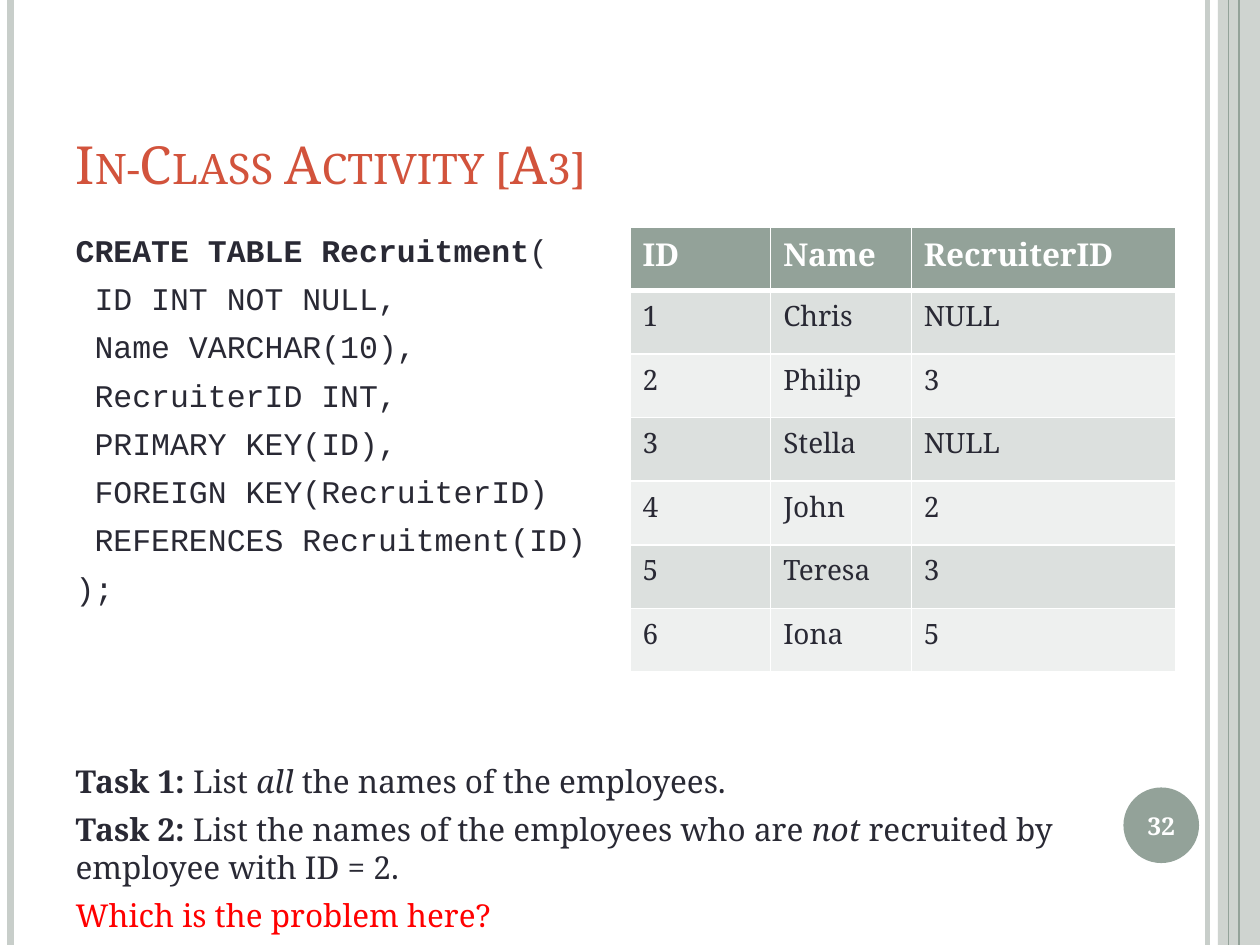
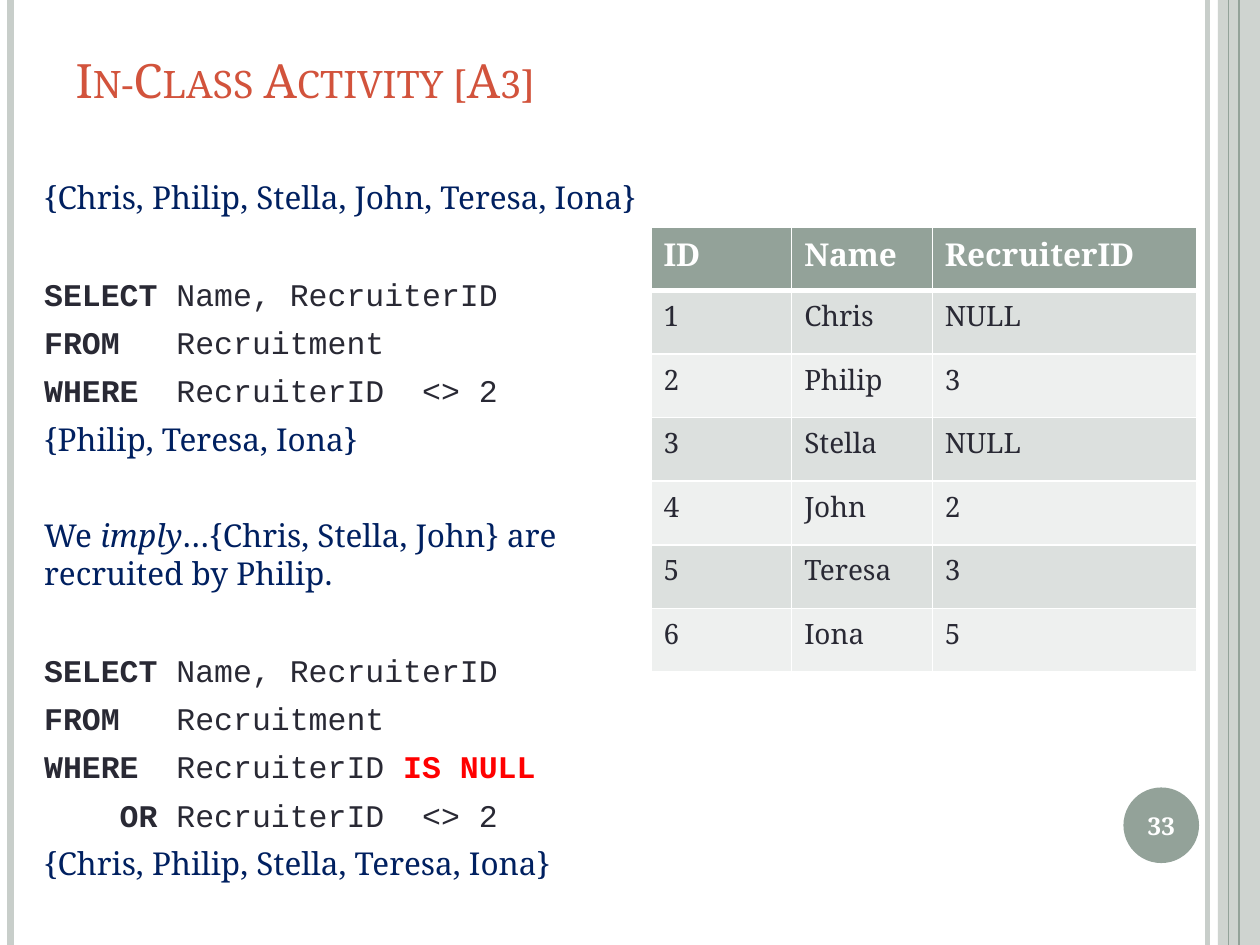
"""Build two slides of an in-class SQL activity: the task and its answers."""
from lxml import etree
from pptx import Presentation
from pptx import util as u
from pptx.dml.color import RGBColor
from pptx.enum import shapes, text
from pptx.oxml import parse_xml
from pptx.oxml.ns import nsdecls, qn

SAGE = RGBColor(0x93, 0xA2, 0x99)
MIST = RGBColor(0xC8, 0xCE, 0xCA)
ROW_DARK = RGBColor(0xDC, 0xE0, 0xDE)
ROW_LIGHT = RGBColor(0xEE, 0xF0, 0xEF)
RUST = RGBColor(0xD2, 0x53, 0x3C)
INK = RGBColor(0x29, 0x29, 0x34)
NAVY = RGBColor(0x00, 0x20, 0x60)
RED = RGBColor(0xFF, 0x00, 0x00)
WHITE = RGBColor(0xFF, 0xFF, 0xFF)
SERIF, MONO = "Noto Serif", "Courier New"

COLS, ROWS = 60, 45
LINE, GAP = 21.6, 6
BLANK = LINE + GAP

STYLES = {
    "code": dict(name=MONO, color=INK),
    "key": dict(name=MONO, color=INK, bold=True),
    "null": dict(name=MONO, color=RED, bold=True),
    "text": dict(name=SERIF, color=INK),
    "bold": dict(name=SERIF, color=INK, bold=True),
    "ital": dict(name=SERIF, color=INK, italic=True),
    "alert": dict(name=SERIF, color=RED),
    "note": dict(name=SERIF, color=NAVY),
    "note_ital": dict(name=SERIF, color=NAVY, italic=True),
    "head": dict(name=SERIF, color=WHITE, bold=True),
    "cell": dict(name=SERIF, color=INK, size=u.Pt(16)),
    "number": dict(name=SERIF, color=WHITE, bold=True, size=u.Pt(14)),
    "title": dict(name=SERIF, color=RUST),
}

TABLE = [
    ("ID", "Name", "RecruiterID"),
    ("1", "Chris", "NULL"),
    ("2", "Philip", "3"),
    ("3", "Stella", "NULL"),
    ("4", "John", "2"),
    ("5", "Teresa", "3"),
    ("6", "Iona", "5"),
]
COL_WIDTHS = (6.7, 6.7, 12.6)

SELECT = [
    (0, [("key", "SELECT "), ("code", "Name, RecruiterID")]),
    (0, [("key", "FROM"), ("code", "   Recruitment")]),
]

SLIDES = [
    dict(number="32", title_size=30, title=(3, 1.8, 49, 7.5),
         body=(3, 10.5, 53, 32), table_left=30, lines=[
        (0, [("key", "CREATE TABLE Recruitment"), ("code", "(")]),
        (0, [("code", " ID INT NOT NULL,")]),
        (0, [("code", " Name VARCHAR(10),")]),
        (0, [("code", " RecruiterID INT,")]),
        (0, [("code", " PRIMARY KEY(ID),")]),
        (0, [("code", " FOREIGN KEY(RecruiterID)")]),
        (0, [("code", " REFERENCES Recruitment(ID)")]),
        (0, [("code", ");")]),
        (3, [("bold", "Task 1: "), ("text", "List "), ("ital", "all"),
             ("text", " the names of the employees.")]),
        (0, [("bold", "Task 2:"),
             ("text", " List the names of the employees who are "),
             ("ital", "not"),
             ("text", " recruited by employee with ID = 2.")]),
        (0, [("alert", "Which is the problem here?")]),
    ]),
    dict(number="33", title_size=27, title=(3, 1.8, 49, 3.36),
         body=(1.5, 8, 31, 34.5), table_left=31, lines=[
        (0, [("note", "{Chris, Philip, Stella, John, Teresa, Iona}")]),
        (1, SELECT[0][1]),
        SELECT[1],
        (0, [("key", "WHERE  "), ("code", "RecruiterID  <> 2")]),
        (0, [("note", "{Philip, Teresa, Iona}")]),
        (1, [("note", "We "), ("note_ital", "imply"),
             ("note", "…{Chris, Stella, John} are recruited by Philip.")]),
        (1, SELECT[0][1]),
        SELECT[1],
        (0, [("key", "WHERE  "), ("code", "RecruiterID "),
             ("null", "IS NULL")]),
        (0, [("key", "    OR "), ("code", "RecruiterID  <> 2")]),
        (0, [("note", "{Chris, Philip, Stella, Teresa, Iona}")]),
    ]),
]

prs = Presentation()
prs.slide_width, prs.slide_height = u.Inches(10), u.Inches(7.5)


def grid(*cells):
    """Turn alternating column and row counts into lengths."""
    sizes = (prs.slide_width / COLS, prs.slide_height / ROWS)
    return [round(c * sizes[i % 2]) for i, c in enumerate(cells)]


def add_run(p, style, words, size=18):
    """Add a run in a named style."""
    r = p.add_run()
    r.text = words
    fmt = {"size": u.Pt(size), "bold": False, "italic": False, **STYLES[style]}
    r.font.color.rgb = fmt.pop("color")
    for key, value in fmt.items():
        setattr(r.font, key, value)
    return r


for page in SLIDES:
    s = prs.slides.add_slide(prs.slide_layouts[1])
    title, body = s.shapes.title, s.placeholders[1]
    for sp, box in ((title, page["title"]), (body, page["body"])):
        sp.left, sp.top, sp.width, sp.height = grid(*box)

    tf = title.text_frame
    for key, value in dict(word_wrap=True, auto_size=text.MSO_AUTO_SIZE.NONE,
                           vertical_anchor=text.MSO_ANCHOR.BOTTOM,
                           margin_bottom=0).items():
        setattr(tf, key, value)
    p = tf.paragraphs[0]
    p.alignment = text.PP_ALIGN.LEFT
    r = add_run(p, "title", "In-Class Activity [A3]", page["title_size"])
    r.font._element.set("cap", "small")

    tf = body.text_frame
    for key, value in dict(word_wrap=True, auto_size=text.MSO_AUTO_SIZE.NONE,
                           vertical_anchor=text.MSO_ANCHOR.TOP,
                           margin_top=u.Inches(0.08)).items():
        setattr(tf, key, value)
    for i, (blanks, runs) in enumerate(page["lines"]):
        p = tf.add_paragraph() if i else tf.paragraphs[0]
        p.space_before = u.Pt(GAP + blanks * BLANK if i else 0)
        p.space_after = u.Pt(0)
        p.line_spacing = u.Pt(LINE)
        pPr = p._p.get_or_add_pPr()
        pPr.set("marL", "0")
        pPr.set("indent", "0")
        etree.SubElement(pPr, qn("a:buNone"))
        for style, words in runs:
            add_run(p, style, words)

    sp = s.shapes.add_shape(shapes.MSO_SHAPE.RECTANGLE, *grid(58, 0, 2, ROWS))
    dot = s.shapes.add_shape(shapes.MSO_SHAPE.OVAL, *grid(53.5, 37.5, 3.6, 3.6))
    for shape, color in ((sp, MIST), (dot, SAGE)):
        shape.shadow.inherit = False
        shape.fill.solid()
        shape.fill.fore_color.rgb = color
        shape.line.fill.background()
    clr = sp._element.spPr.find(qn("a:solidFill"))[0]
    etree.SubElement(clr, qn("a:alpha")).set("val", "87000")

    for col, color, width in ((57.5, MIST, 3), (0.5, MIST, 4.5),
                              (59, SAGE, 1.5), (58.5, SAGE, 0.75)):
        rule = s.shapes.add_connector(shapes.MSO_CONNECTOR.STRAIGHT,
                                      *grid(col, 0, col, ROWS))
        rule.line.color.rgb = color
        rule.line.width = u.Pt(width)
        etree.SubElement(rule._element.spPr, qn("a:effectLst"))

    tf = s.shapes.add_textbox(*grid(53.3, 37.6, 4, 3.4)).text_frame
    tf.word_wrap = True
    tf.vertical_anchor = text.MSO_ANCHOR.MIDDLE
    tf.paragraphs[0].alignment = text.PP_ALIGN.CENTER
    add_run(tf.paragraphs[0], "number", page["number"])

    table = s.shapes.add_table(len(TABLE), len(COL_WIDTHS),
                               *grid(page["table_left"], 10.8, 26, 21.2)).table
    for column, width in zip(table.columns, COL_WIDTHS):
        column.width = grid(width)[0]
    for i, row in enumerate(TABLE):
        for j, words in enumerate(row):
            cell = table.cell(i, j)
            add_run(cell.text_frame.paragraphs[0], "cell" if i else "head", words)
            cell.fill.solid()
            cell.fill.fore_color.rgb = (
                SAGE if i == 0 else ROW_DARK if i % 2 else ROW_LIGHT)
            widths = dict(lnL=1, lnR=1, lnT=3 if i == 1 else 1,
                          lnB=1 if i else 3)
            for k, (side, width) in enumerate(widths.items()):
                cell._tc.get_or_add_tcPr().insert(k, parse_xml(
                    f'<a:{side} {nsdecls("a")} w="{u.Pt(width)}"><a:solidFill>'
                    f'<a:srgbClr val="{WHITE}"/></a:solidFill></a:{side}>'))

prs.save("out.pptx")
